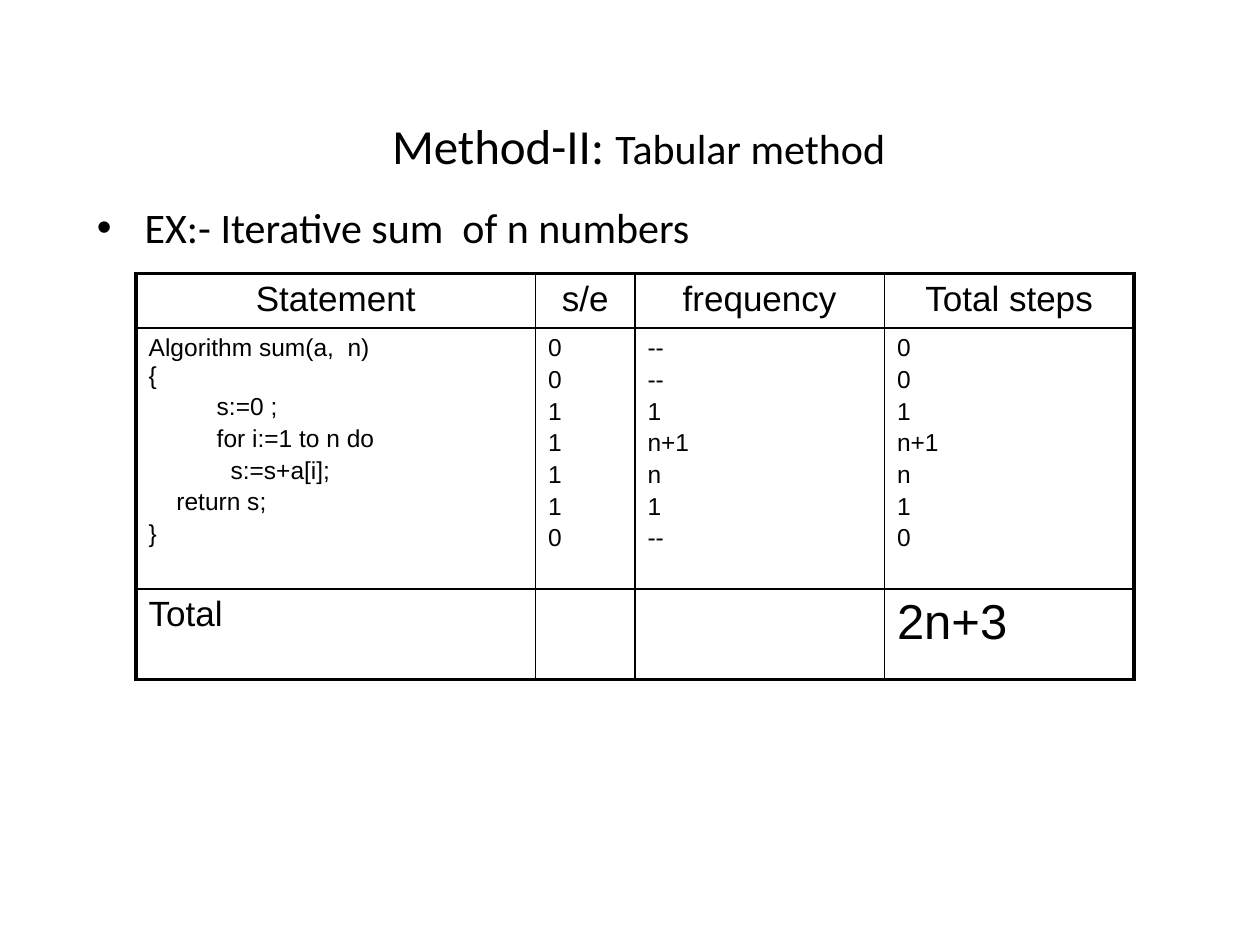
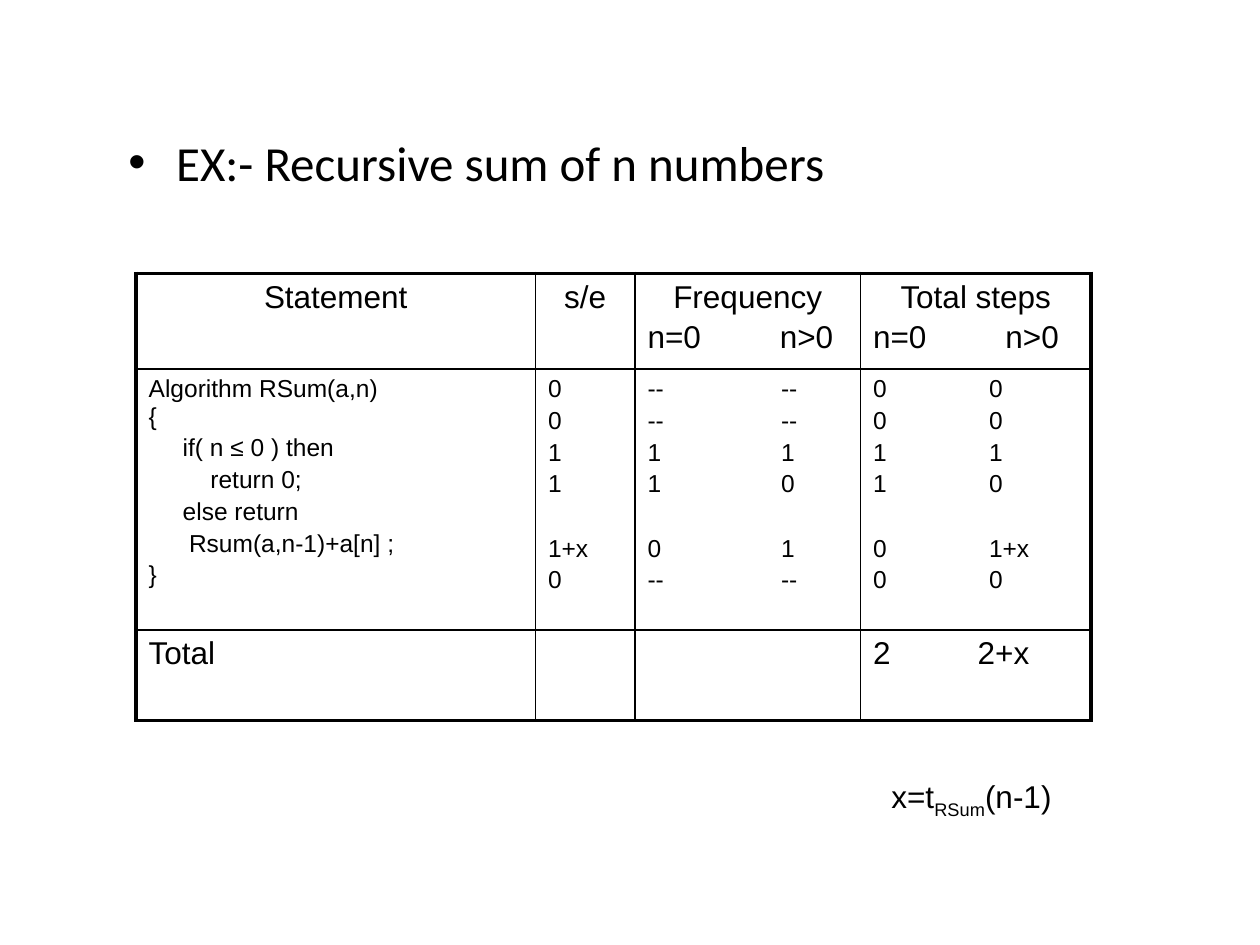
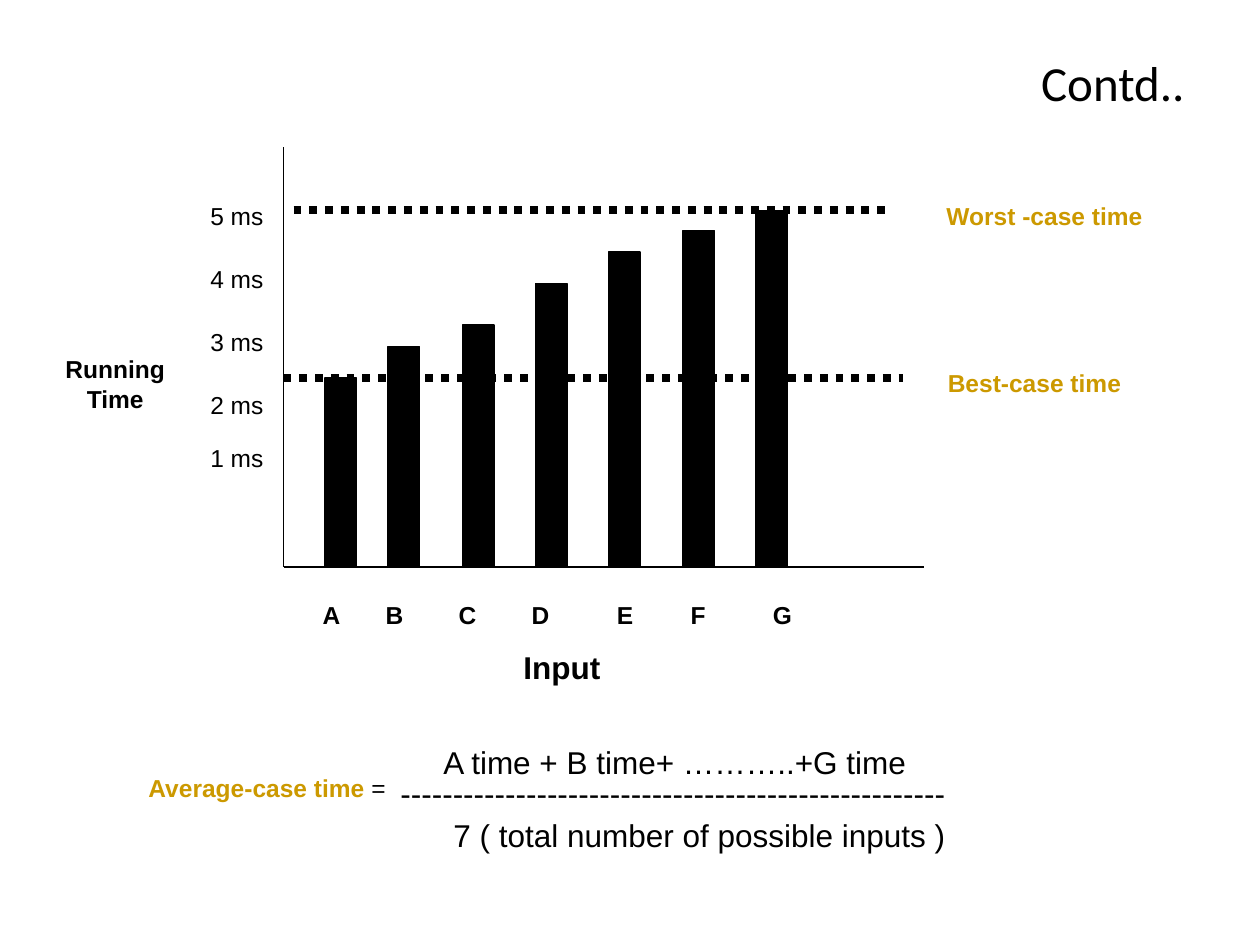
from dataclasses import dataclass
from typing import Any

import pptx
import pptx.dml.color
import pptx.enum.dml
import pptx.enum.shapes
import pptx.enum.text
import pptx.oxml
import pptx.oxml.ns
import pptx.util
from pptx.util import Inches

COLORS = {"ink": "000000", "paper": "FFFFFF", "accent": "CC9900"}
HEADING_FONT, BODY_FONT = "Calibri", "Arial"
THICK, THIN = 2.25, 1
SPACING = 0.17  # space before a paragraph, as a share of its text size
ALIGN = pptx.enum.text.PP_ALIGN
MIDDLE = pptx.enum.text.MSO_ANCHOR.MIDDLE


@dataclass
class Run:
    """A stretch of text; unset fields follow the surrounding text."""
    text: str
    size: float | None = None
    color: str | None = None
    bold: bool | None = None
    baseline: int = 0


@dataclass
class Line:
    """A paragraph with its own layout; lengths in inches, gap in points."""
    runs: str | list[Run]
    indent: float = 0
    tab: float = 0
    gap: float | None = None
    align: Any = None


@dataclass
class Cell:
    """The paragraphs of one table cell and their format."""
    lines: list[str | Line]
    size: float = 14
    align: Any = ALIGN.LEFT


@dataclass
class Bar:
    """One bar of the running-time diagram."""
    name: str
    left: float
    top: float
    label_left: float


def rgb(name: str) -> pptx.dml.color.RGBColor:
    """Look up a named colour."""
    return pptx.dml.color.RGBColor.from_string(COLORS[name])


def element(tag: str, attributes: str = "", inner: str = "") -> Any:
    """Make a DrawingML element."""
    names = pptx.oxml.ns.nsdecls("a")
    return pptx.oxml.parse_xml(f"<a:{tag} {names} {attributes}>{inner}</a:{tag}>")


def write(tf: Any, lines: list[str | Line], *, size: float, font: str = BODY_FONT,
          color: str = "ink", bold: bool = False, align: Any = ALIGN.LEFT,
          spacing: float = 0, bullet: bool = False) -> None:
    """Fill a text frame with formatted paragraphs."""
    for i, item in enumerate(lines):
        line = item if isinstance(item, Line) else Line(item)
        p = tf.paragraphs[0] if i == 0 else tf.add_paragraph()
        p.alignment = align if line.align is None else line.align
        p.space_before = pptx.util.Pt(spacing * size if line.gap is None else line.gap)
        pPr = p._p.get_or_add_pPr()
        if line.indent:
            pPr.set("marL", str(Inches(line.indent)))
        if bullet:
            pPr.set("marL", str(Inches(0.38)))
            pPr.set("indent", str(-Inches(0.38)))
            pPr.append(element("buFont", 'typeface="Arial"'))
            pPr.append(element("buChar", 'char="•"'))
        if line.tab:
            stop = f'<a:tab pos="{Inches(line.tab)}" algn="l"/>'
            pPr.append(element("tabLst", inner=stop))
        runs = [Run(line.runs)] if isinstance(line.runs, str) else line.runs
        for run in runs:
            for j, part in enumerate(run.text.split("\n")):
                if j:
                    p.add_line_break()
                r = p.add_run()
                r.text = part
                r.font.name = font
                r.font.size = pptx.util.Pt(run.size or size)
                r.font.bold = bold if run.bold is None else run.bold
                r.font.color.rgb = rgb(run.color or color)
                if run.baseline:
                    r._r.get_or_add_rPr().set("baseline", str(run.baseline * 1000))


def heading(s: Any, at: tuple[float, ...], runs: str | list[Run], *,
            anchor: Any = None, **fmt: Any) -> None:
    """Add a wrapped text box in the heading font."""
    tf = s.shapes.add_textbox(*map(Inches, at)).text_frame
    tf.word_wrap = True
    tf.vertical_anchor = anchor
    write(tf, [Line(runs)], font=HEADING_FONT, **fmt)


def box(s: Any, at: tuple[float, ...], lines: list[str | Line] | None = None, *,
        fill: str = "paper", size: float = 14, align: Any = ALIGN.CENTER, **fmt: Any) -> None:
    """Add a plain rectangle, with unwrapped text if lines are given."""
    sp = s.shapes.add_shape(pptx.enum.shapes.MSO_SHAPE.RECTANGLE, *map(Inches, at))
    sp.shadow.inherit = False
    sp.fill.solid()
    sp.fill.fore_color.rgb = rgb(fill)
    sp.line.color.rgb = rgb(fill)
    sp.line.width = pptx.util.Pt(0.75)
    if lines:
        sp.text_frame.word_wrap = False
        sp.text_frame.vertical_anchor = MIDDLE
        write(sp.text_frame, lines, size=size, align=align, **fmt)


def rule(s: Any, start: tuple[float, float], end: tuple[float, float], *,
         width: float = 0.75, dotted: bool = False) -> None:
    """Add a straight line."""
    c = s.shapes.add_connector(pptx.enum.shapes.MSO_CONNECTOR.STRAIGHT,
                               *map(Inches, start + end))
    c.line.color.rgb = rgb("ink")
    c.line.width = pptx.util.Pt(width)
    if dotted:
        c.line.dash_style = pptx.enum.dml.MSO_LINE.ROUND_DOT
    c._element.spPr.append(element("effectLst"))


def step_table(s: Any, widths: list[float], heights: list[float],
               rows: list[list[Cell]]) -> None:
    """Add a step-count table with a thick frame and thin inner lines."""
    frame = s.shapes.add_table(len(heights), len(widths), Inches(1.08), Inches(2.17),
                               Inches(sum(widths)), Inches(sum(heights)))
    table = frame.table
    table.first_row = table.horz_banding = False
    for col, width in zip(table.columns, widths):
        col.width = Inches(width)
    for row, height in zip(table.rows, heights):
        row.height = Inches(height)
    stroke = f'<a:solidFill><a:srgbClr val="{COLORS["ink"]}"/></a:solidFill>'
    for i, row in enumerate(rows):
        for j, content in enumerate(row):
            cell = table.cell(i, j)
            cell.fill.background()
            write(cell.text_frame, content.lines, size=content.size,
                  align=content.align, spacing=SPACING)
            outer = {"L": j == 0, "R": j == len(widths) - 1,
                     "T": i == 0, "B": i == len(heights) - 1}
            tcPr = cell._tc.get_or_add_tcPr()
            for k, (side, is_outer) in enumerate(outer.items()):
                width = pptx.util.Pt(THICK if is_outer else THIN)
                tcPr.insert(k, element(f"ln{side}", f'w="{width}"', stroke))


def pairs(values: list[str], tab: float, gap_at: int) -> list[str | Line]:
    """Make tabbed lines, leaving one line free before the given row."""
    return [Line(v, tab=tab, gap=21 if i == gap_at else None) for i, v in enumerate(values)]


def iterative_slide(s: Any) -> None:
    """Draw the step count of the iterative sum."""
    heading(s, (0.5, 0.58, 9, 0.97),
            [Run(" ", size=44), Run("Method-II: "), Run("Tabular method", size=24)],
            size=28, align=ALIGN.CENTER, anchor=MIDDLE)
    heading(s, (0.67, 1.55, 6.67, 0.95), "EX:- Iterative sum  of n numbers",
            size=24, bullet=True, spacing=SPACING)
    code = ["Algorithm sum(a,  n)\n{", Line("s:=0 ;", indent=0.54),
            Line("for i:=1 to n do", indent=0.54), Line("s:=s+a[i];", indent=0.65),
            Line("return s;", indent=0.22), "}"]
    step_table(s, [3.17, 0.79, 1.98, 1.98], [0.43, 2.07, 0.72], [
        [Cell([name], 20, ALIGN.CENTER)
         for name in ("Statement", "s/e", "frequency", "Total steps")],
        [Cell(code), Cell(list("0011110")),
         Cell(["--", "--", "1", "n+1", "n", "1", "--"]),
         Cell(["0", "0", "1", "n+1", "n", "1", "0"])],
        [Cell(["Total"], 20), Cell([]), Cell([]), Cell(["2n+3"], 28)],
    ])


def recursive_slide(s: Any) -> None:
    """Draw the step count of the recursive sum."""
    heading(s, (0.92, 1, 6.67, 0.95), "EX:- Recursive sum of n numbers",
            size=28, bullet=True, spacing=SPACING)
    code = ["Algorithm RSum(a,n)\n{", Line("if( n ≤ 0 ) then", indent=0.27),
            Line("return 0;", indent=0.49), Line("else return", indent=0.27),
            Line("Rsum(a,n-1)+a[n] ;", indent=0.32), "}"]
    cases = Line("n=0\tn>0", tab=1.05, align=ALIGN.LEFT)
    frequency = ["--\t--", "--\t--", "1\t1", "1\t0", "0\t1", "--\t--"]
    total = ["0\t0", "0\t0", "1\t1", "1\t0", "0\t1+x", "0\t0"]
    step_table(s, [3.17, 0.79, 1.79, 1.83], [0.76, 2.07, 0.72], [
        [Cell(lines, 18, ALIGN.CENTER)
         for lines in (["Statement"], ["s/e"], ["Frequency", cases], ["Total steps", cases])],
        [Cell(code), Cell(pairs(["0", "0", "1", "1", "1+x", "0"], 0, 4)),
         Cell(pairs(frequency, 1.06, 4)), Cell(pairs(total, 0.92, 4))],
        [Cell(["Total"], 18), Cell([]), Cell([]), Cell([Line("2\t2+x", tab=0.83)], 18)],
    ])
    box(s, (6.67, 6, 2.08, 0.67),
        [Line([Run("x=t"), Run("RSum", baseline=-25), Run("(n-1)")])], size=18)


def cases_slide(s: Any) -> None:
    """Draw the running-time diagram and the average-case formula."""
    heading(s, (0.5, 0.3, 9, 0.7), "Contd..", size=28, align=ALIGN.RIGHT, anchor=MIDDLE)
    axis_x, base, label = 2.25, 4.5, 0.42
    bars = [Bar("A", 2.58, 3, 2.42), Bar("B", 3.08, 2.75, 2.92), Bar("C", 3.67, 2.58, 3.5),
            Bar("D", 4.25, 2.25, 4.08), Bar("E", 4.83, 2, 4.75), Bar("F", 5.42, 1.83, 5.33),
            Bar("G", 6, 1.67, 6)]
    box(s, (0.58, 1.08, 8.5, 4.92))
    rule(s, (axis_x, 1.17), (axis_x, base))
    rule(s, (axis_x, base), (7.33, base))
    for bar in bars:
        box(s, (bar.left, bar.top, 0.25, base - bar.top), fill="ink")
    for ms, top in zip(range(5, 0, -1), (1.5, 2, 2.5, 3, 3.42)):
        box(s, (1.67, top, label, label), [f"{ms} ms"])
    rule(s, (axis_x, 3), (7.17, 3), width=4.5, dotted=True)
    rule(s, (2.33, 1.67), (7.08, 1.67), width=4.5, dotted=True)
    for text, left, top in (("Best-case time", 7.42, 2.83), ("Worst -case time", 7.5, 1.5)):
        box(s, (left, top, 1.58, label), [text], color="accent", bold=True)
    for bar in bars:
        box(s, (bar.label_left, 4.67, label, label), [bar.name], bold=True)
    box(s, (3.08, 5.08, 2.83, label), ["Input "], size=18, bold=True)
    box(s, (0.58, 1.92, 0.67, 2.25), ["Running", "Time"], bold=True)
    box(s, (1.08, 5.92, 8, 0.67),
        [Line([Run("Average-case time", color="accent", bold=True), Run(" =")])],
        align=ALIGN.LEFT)
    for text, left, top in (("A time + B time+ ………..+G time", 3.42, 5.92),
                            ("-" * 52, 3.08, 6.17),
                            ("7 ( total number of possible inputs )", 3.5, 6.5)):
        box(s, (left, top, 5.33, 0.25), [text], size=18, align=ALIGN.LEFT)


def main() -> None:
    """Build the presentation."""
    prs = pptx.Presentation()
    prs.slide_width, prs.slide_height = Inches(10), Inches(7.5)
    for draw in (iterative_slide, recursive_slide, cases_slide):
        draw(prs.slides.add_slide(prs.slide_layouts[6]))
    prs.save("out.pptx")


main()
